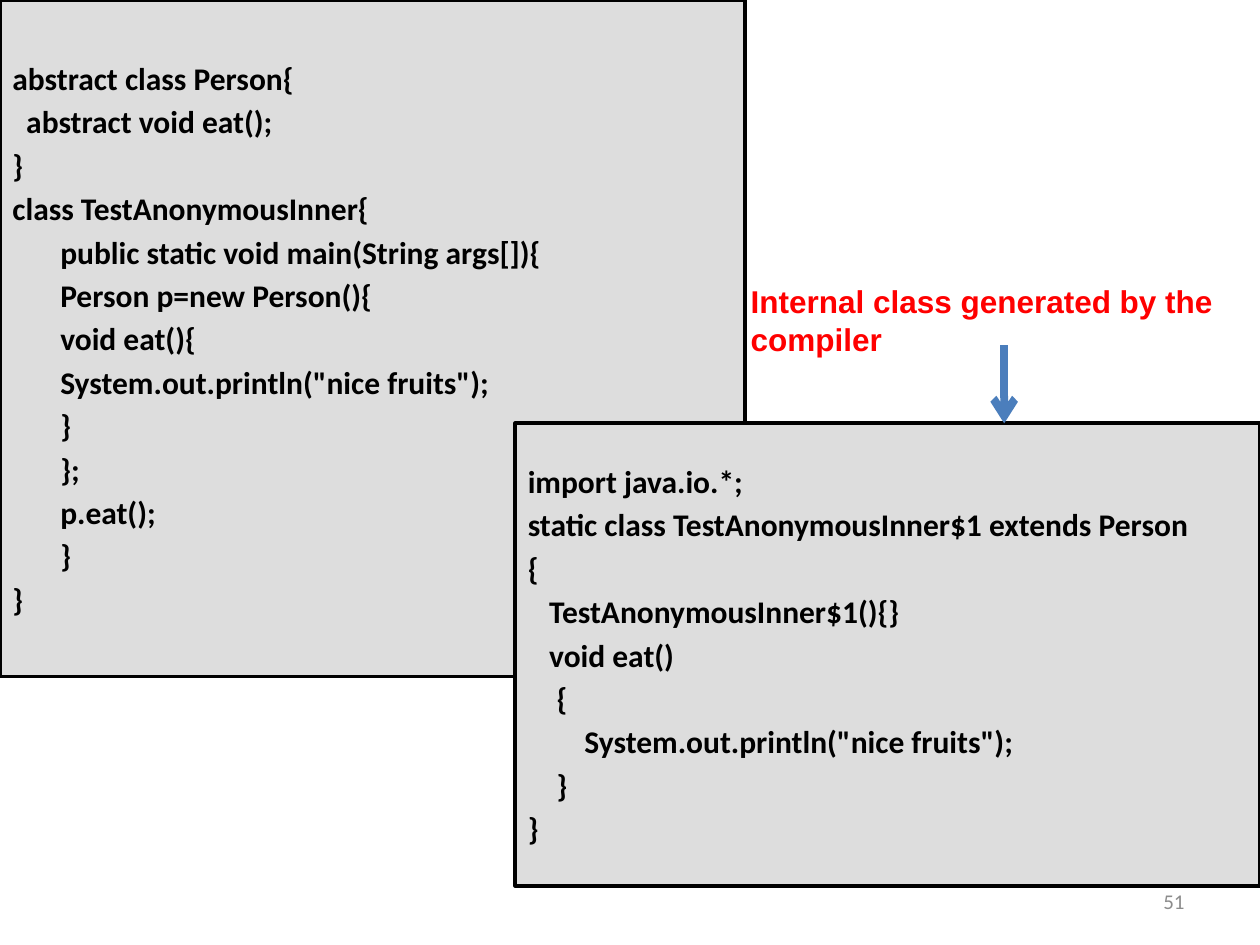
"""Build a slide showing an anonymous inner class and the class the compiler generates."""
import pptx
import pptx.dml.color
import pptx.enum.shapes
import pptx.enum.text
import pptx.oxml
import pptx.oxml.ns
import pptx.util

Inches, Pt = pptx.util.Inches, pptx.util.Pt
RGBColor = pptx.dml.color.RGBColor
PP_ALIGN, MSO_ANCHOR = pptx.enum.text.PP_ALIGN, pptx.enum.text.MSO_ANCHOR

BLACK = RGBColor(0x00, 0x00, 0x00)
PANEL_GREY = RGBColor(0xDD, 0xDD, 0xDD)
NUMBER_GREY = RGBColor(0x8C, 0x8C, 0x8C)
RED = RGBColor(0xFF, 0x00, 0x00)
BLUE = RGBColor(0x4B, 0x7E, 0xBC)

WIDTH, HEIGHT = 10, 7.5
PANEL_WIDTH = 5.91
GENERATED_TOP = 3.36
ARROW_X = 7.97

SOURCE_CODE = [
    (0, "abstract class Person{"),
    (0.11, "abstract void eat();"),
    (0, "}"),
    (0, "class TestAnonymousInner{"),
    (0.38, "public static void main(String args[]){"),
    (0.38, "Person p=new Person(){"),
    (0.38, "void eat(){"),
    (0.38, 'System.out.println("nice fruits");'),
    (0.38, "}"),
    (0.38, "};"),
    (0.38, "p.eat();"),
    (0.38, "}"),
    (0, "}"),
]
GENERATED_CODE = [
    (0, "import java.io.*;"),
    (0, "static class TestAnonymousInner$1 extends Person"),
    (0, "{"),
    (0.17, "TestAnonymousInner$1(){}"),
    (0.17, "void eat()"),
    (0.23, "{"),
    (0.45, 'System.out.println("nice fruits");'),
    (0.23, "}"),
    (0, "}"),
]
PANELS = [
    (0, 0, 5.37, SOURCE_CODE),
    (WIDTH - PANEL_WIDTH, GENERATED_TOP, 3.67, GENERATED_CODE),
]


def set_font(p, name, size, color, bold=False):
    p.font.name, p.font.size, p.font.bold = name, Pt(size), bold
    p.font.color.rgb = color


def add_code_panel(slide, left, top, height, lines):
    sp = slide.shapes.add_shape(
        pptx.enum.shapes.MSO_SHAPE.RECTANGLE,
        Inches(left), Inches(top), Inches(PANEL_WIDTH), Inches(height))
    sp.shadow.inherit = False
    sp.fill.solid()
    sp.fill.fore_color.rgb = PANEL_GREY
    sp.line.color.rgb = BLACK
    sp.line.width = Pt(2.25)
    tf = sp.text_frame
    tf.word_wrap = True
    tf.vertical_anchor = MSO_ANCHOR.MIDDLE
    for i, (indent, text) in enumerate(lines):
        p = tf.add_paragraph() if i else tf.paragraphs[0]
        p.text = text
        p.alignment = PP_ALIGN.LEFT
        p.space_before = Pt(3.2)
        p._p.get_or_add_pPr().set("marL", str(Inches(indent)))
        set_font(p, "Calibri", 18, BLACK, True)


def add_label(slide, left, top, width, height, text):
    tf = slide.shapes.add_textbox(
        Inches(left), Inches(top), Inches(width), Inches(height)).text_frame
    tf.word_wrap = True
    tf.paragraphs[0].text = text
    return tf


def add_arrow(slide, x, top, bottom):
    line = slide.shapes.add_connector(
        pptx.enum.shapes.MSO_CONNECTOR.STRAIGHT,
        Inches(x), Inches(top), Inches(x), Inches(bottom))
    line.line.color.rgb = BLUE
    line.line.width = Pt(4.5)
    ns = pptx.oxml.ns.nsdecls("a")
    line.line._get_or_add_ln().append(
        pptx.oxml.parse_xml(f'<a:tailEnd {ns} type="arrow"/>'))
    line._element.spPr.append(pptx.oxml.parse_xml(f"<a:effectLst {ns}/>"))


def main():
    prs = pptx.Presentation()
    prs.slide_width, prs.slide_height = Inches(WIDTH), Inches(HEIGHT)
    slide = prs.slides.add_slide(prs.slide_layouts[6])

    tf = add_label(slide, 7.17, 6.95, 2.33, 0.4, "51")
    tf.vertical_anchor = MSO_ANCHOR.MIDDLE
    tf.paragraphs[0].alignment = PP_ALIGN.RIGHT
    set_font(tf.paragraphs[0], "Calibri", 12, NUMBER_GREY)

    for panel in PANELS:
        add_code_panel(slide, *panel)

    tf = add_label(slide, 5.86, 2.19, 4.14, 0.71,
                   "Internal class generated by the compiler")
    set_font(tf.paragraphs[0], "Arial", 18, RED, True)
    add_arrow(slide, ARROW_X, 2.74, GENERATED_TOP)

    prs.save("out.pptx")


if __name__ == "__main__":
    main()
